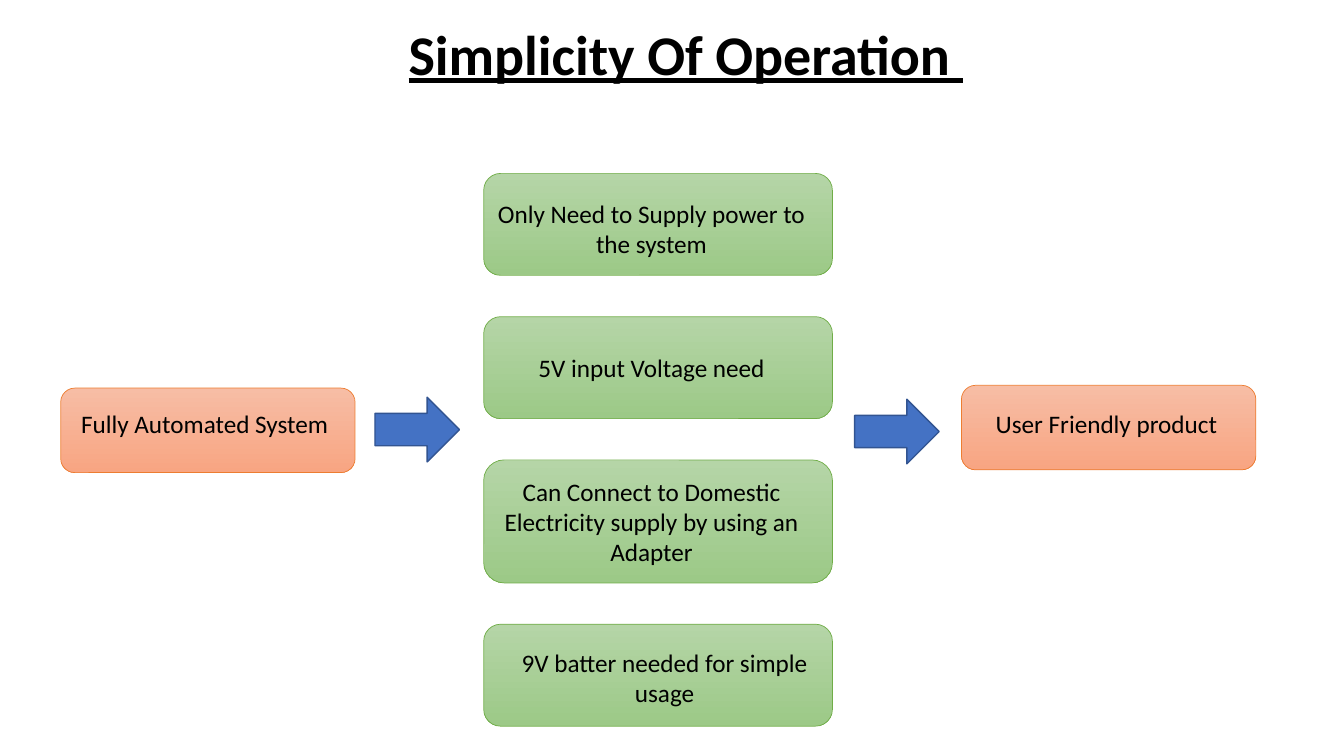
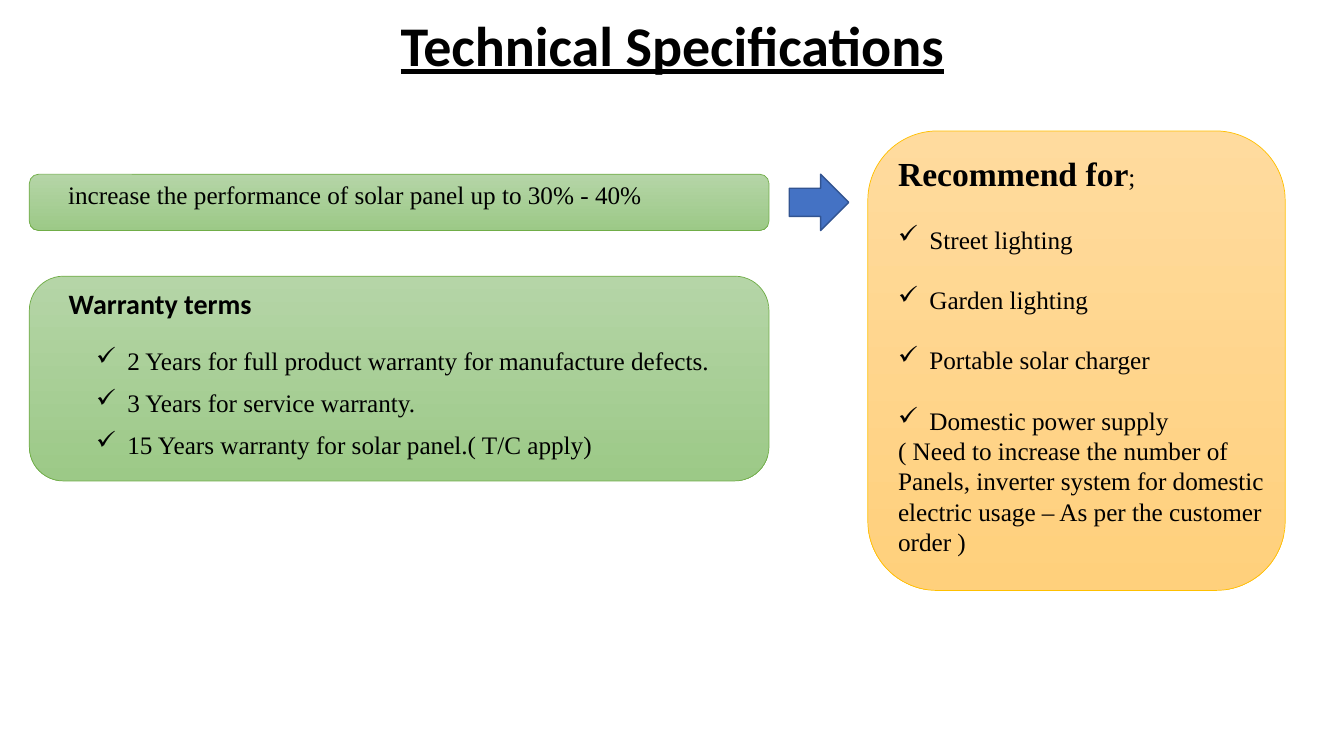
from dataclasses import dataclass

from pptx import Presentation
from pptx.dml.color import RGBColor as RGB
from pptx.enum.shapes import MSO_SHAPE as SHAPE
from pptx.enum.text import MSO_ANCHOR as ANCHOR, MSO_AUTO_SIZE as AUTO_SIZE, PP_ALIGN as ALIGN
from pptx.oxml.ns import qn
from pptx.util import Cm, Pt
from lxml.etree import SubElement


@dataclass(frozen=True)
class Theme:
    """Each look is a pair: fill colours from top to bottom, and outline colour."""
    text = RGB.from_string("000000")
    green = (("B5D5A7", "9CC987"), "70AD47")
    coral = (("F7BDA5", "F8A582"), "ED7D31")
    amber = (("FFDB9E", "FFD07C"), "FFC000")
    blue = (("4472C4",), "325491")
    title = {"name": "Calibri", "size": Pt(40), "bold": True, "underline": True}
    label = {"name": "Calibri", "size": Pt(18)}
    heading = {"name": "Calibri", "size": Pt(20), "bold": True}
    body = {"name": "Times New Roman", "size": Pt(18)}
    lead = {"name": "Times New Roman", "size": Pt(24), "bold": True}
    body_line = Pt(21.6)


theme = Theme()
TITLE_WIDTH, TITLE_HEIGHT = 15.5, 1.8


def add_block(slide, kind, box, look):
    """Add a preset shape; box is left, top, width and height in cm."""
    fills, outline = look
    block = slide.shapes.add_shape(kind, *[Cm(length) for length in box])
    block.shadow.inherit = False
    if len(fills) == 1:
        block.fill.solid()
        block.fill.fore_color.rgb = RGB.from_string(fills[0])
    else:
        block.fill.gradient()
        block.fill.gradient_angle = 270
        for stop, color in zip(block.fill.gradient_stops, fills):
            stop.color.rgb = RGB.from_string(color)
    block.line.color.rgb = RGB.from_string(outline)
    block.line.width = Pt(1 if kind == SHAPE.RIGHT_ARROW else 0.5)
    return block


def write(shape, paragraphs, insets=(0, 0, 0, 0), anchor=ANCHOR.MIDDLE):
    """Fill a shape with (runs, paragraph format, check mark indent in cm or None)."""
    frame = shape.text_frame
    left, top, right, bottom = [Cm(inset) for inset in insets]
    frame_format = {
        "margin_left": left, "margin_top": top, "margin_right": right, "margin_bottom": bottom,
        "word_wrap": True, "auto_size": AUTO_SIZE.NONE, "vertical_anchor": anchor,
    }
    for key, value in frame_format.items():
        setattr(frame, key, value)
    for index, (runs, layout, check_indent) in enumerate(paragraphs):
        paragraph = frame.add_paragraph() if index else frame.paragraphs[0]
        if check_indent is not None:
            properties = paragraph._p.get_or_add_pPr()
            properties.set("marL", str(Cm(check_indent + 0.79)))
            properties.set("indent", str(-Cm(0.79)))
            SubElement(properties, qn("a:buChar")).set("char", "✓")
        for key, value in layout.items():
            setattr(paragraph, key, value)
        for text, font in runs:
            run = paragraph.add_run()
            run.text = text
            for key, value in font.items():
                setattr(run.font, key, value)
            run.font.color.rgb = theme.text


deck = Presentation()
deck.slide_width, deck.slide_height = Cm(33.87), Cm(19.05)

# Slides and titles: text, centre, top, line spacing
slides = []
for text, center, top, spacing in (
    ("Simplicity Of Operation ", 17.28, 0.43, 1.0),
    ("Technical Specifications", 16.94, 0.36, 0.8),
):
    slide = deck.slides.add_slide(deck.slide_layouts[5])
    title = slide.shapes.title
    title_place = {
        "left": Cm(center - TITLE_WIDTH / 2), "top": Cm(top),
        "width": Cm(TITLE_WIDTH), "height": Cm(TITLE_HEIGHT),
    }
    for key, value in title_place.items():
        setattr(title, key, value)
    title_layout = {"alignment": ALIGN.CENTER, "line_spacing": spacing}
    write(title, [([(text, theme.title)], title_layout, None)])
    slides.append(slide)
operation, specifications = slides

# Simplicity of operation: column of needs between the system and the product
need_top, need_gap = 4.37, 1.04
for text, height, insets in (
    ("Only Need to Supply power to the system", 2.57, (0.13, 0.2, 0.46, 0)),
    ("5V input Voltage need", 2.57, (0.13, 0, 0.46, 0)),
    ("Can Connect to Domestic Electricity supply by using an Adapter", 3.1, (0.13, 0, 0.46, 0)),
    ("9V batter needed for simple usage", 2.57, (0.46, 0.1, 0.13, 0)),
):
    need = add_block(operation, SHAPE.ROUNDED_RECTANGLE, (12.19, need_top, 8.79, height), theme.green)
    write(need, [([(text, theme.label)], {"alignment": ALIGN.CENTER}, None)], insets)
    need_top += height + need_gap

for text, left, top, insets in (
    ("Fully Automated System", 1.53, 9.78, (0.41, 0, 0, 0.36)),
    ("User Friendly product", 24.23, 9.71, (0.76, 0, 0, 0.2)),
):
    end = add_block(operation, SHAPE.ROUNDED_RECTANGLE, (left, top, 7.42, 2.13), theme.coral)
    write(end, [([(text, theme.label)], {"alignment": ALIGN.LEFT}, None)], insets)

# Arrows of both slides
for slide, box in (
    (operation, (9.45, 10.01, 2.13, 1.63)),
    (operation, (21.54, 10.06, 2.13, 1.63)),
    (specifications, (19.89, 4.39, 1.5, 1.42)),
):
    add_block(slide, SHAPE.RIGHT_ARROW, box, theme.blue)

# Technical specifications
plain = {"alignment": ALIGN.LEFT}
body = {"alignment": ALIGN.LEFT, "line_spacing": theme.body_line}

performance = [
    ([("increase the performance of solar panel up to 30% - 40%", theme.body)], body, None),
]
warranty = [([("Warranty terms", theme.heading)], plain, None)]
for text, space in (
    ("2 Years for full product warranty for manufacture defects.", 18),
    ("3 Years for service warranty.", 8.6),
    ("15 Years warranty for solar panel.( T/C apply)", 8.6),
):
    warranty.append(([(text, theme.body)], {**body, "space_before": Pt(space)}, 0.69))

recommendation = [([("Recommend for", theme.lead), (";", theme.body)], plain, None)]
for text in ("Street lighting", "Garden lighting", "Portable solar charger", "Domestic power supply"):
    recommendation.append(([(text, theme.body)], {**body, "space_before": theme.body_line}, 0))
note = (
    "( Need to increase the number of Panels, inverter system for domestic "
    "electric usage – As per the customer order )"
)
recommendation.append(([(note, theme.body)], body, None))

for paragraphs, box, look, insets in (
    (performance, (0.74, 4.39, 18.64, 1.42), theme.green, (0.91, 0.06, 0, 0)),
    (warranty, (0.74, 6.96, 18.64, 5.16), theme.green, (0.74, 0, 0, 0)),
    (recommendation, (21.87, 3.3, 10.52, 11.58), theme.amber, (0.25, 0.05, 0, 0)),
):
    card = add_block(specifications, SHAPE.ROUNDED_RECTANGLE, box, look)
    write(card, paragraphs, insets, ANCHOR.TOP)

deck.save("out.pptx")
